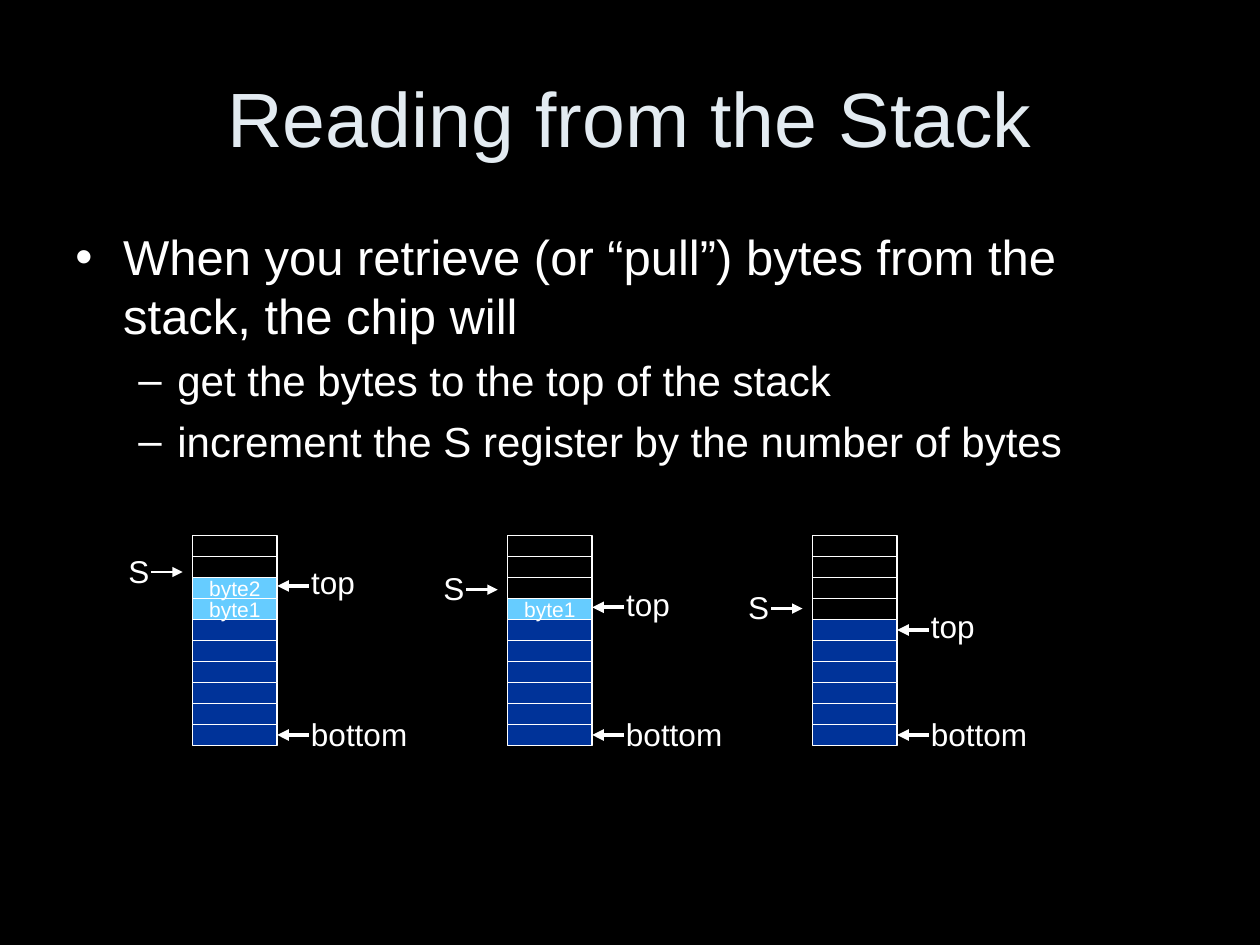
from lxml import etree
from pptx import Presentation
from pptx.dml.color import RGBColor
from pptx.enum.shapes import MSO_CONNECTOR as Conn, MSO_SHAPE as Shape
from pptx.enum.text import MSO_ANCHOR as Anchor, PP_ALIGN as Align
from pptx.oxml.ns import qn
from pptx.util import Inches, Pt

# Content
TITLE = "Reading from the Stack"
BODY = [  # text, level, size, space before
    ("When you retrieve (or “pull”) bytes from the stack, the chip will", 0, 28, 0),
    ("get the bytes to the top of the stack", 1, 24, 6),
    ("increment the S register by the number of bytes", 1, 24, 6),
]
BULLETS = [("•", 0.38, 0.38), ("–", 0.81, 0.31)]  # mark, indent, hang
STACKS = [  # left edge, free cells, pushed bytes, height of S and top arrows
    dict(x=1.53, free=2, data=["byte2", "byte1"], s=4.54, top=4.65),
    dict(x=4.03, free=3, data=["byte1"], s=4.68, top=4.82),
    dict(x=6.45, free=4, data=[], s=4.83, top=5),
]

# Sizes and colours
CELLS, CELL_W, CELL_H, STACK_Y = 10, 0.67, 1 / 6, 4.25
BASE_Y = STACK_Y + (CELLS - 0.5) * CELL_H
WHITE, BLACK, PALE, NAVY, SKY = "FFFFFF", "000000", "E3EBF1", "003399", "66CCFF"


def color(code):
    return RGBColor.from_string(code)


def style(par, size, tint=WHITE, align=Align.LEFT):
    par.alignment = align
    par.font.size = Pt(size)
    par.font.name = "Arial"
    par.font.color.rgb = color(tint)


def write(text, x, y, w, h, size=18, wrap=False, anchor=Anchor.TOP, **look):
    frame = slide.shapes.add_textbox(*map(Inches, (x, y, w, h))).text_frame
    frame.word_wrap = wrap
    frame.vertical_anchor = anchor
    par = frame.paragraphs[0]
    par.text = text
    style(par, size, **look)
    return frame


def bullet(par, mark, left, hang):
    props = par._p.get_or_add_pPr()
    props.set("marL", str(Inches(left)))
    props.set("indent", str(-Inches(hang)))
    etree.SubElement(props, qn("a:buFont")).set("typeface", "Arial")
    etree.SubElement(props, qn("a:buChar")).set("char", mark)


def cell(x, y, fill=None, text=""):
    box = slide.shapes.add_shape(Shape.RECTANGLE, *map(Inches, (x, y, CELL_W, CELL_H)))
    box.shadow.inherit = False
    box.line.color.rgb = color(WHITE)
    box.line.width = Pt(0.75)
    if fill:
        box.fill.solid()
        box.fill.fore_color.rgb = color(fill)
    else:
        box.fill.background()
    if text:
        frame = box.text_frame
        frame.word_wrap = False
        frame.vertical_anchor = Anchor.MIDDLE
        frame.text = text
        style(frame.paragraphs[0], 12, align=Align.CENTER)


def arrow(start, end, y, width):
    line = slide.shapes.add_connector(Conn.STRAIGHT, *map(Inches, (start, y, end, y)))
    line.line.color.rgb = color(WHITE)
    line.line.width = Pt(width)
    etree.SubElement(line.line._get_or_add_ln(), qn("a:tailEnd")).set("type", "triangle")
    etree.SubElement(line._element.spPr, qn("a:effectLst"))


deck = Presentation()
deck.slide_width, deck.slide_height = Inches(10), Inches(7.5)
slide = deck.slides.add_slide(deck.slide_layouts[6])
slide.background.fill.solid()
slide.background.fill.fore_color.rgb = color(BLACK)

# Title and bullets
write(TITLE, 0.5, 0.3, 9, 1.25, size=44, wrap=True, anchor=Anchor.MIDDLE,
      tint=PALE, align=Align.CENTER)
body = write("", 0.5, 1.75, 9, 2.42, wrap=True)
for i, (text, level, size, gap) in enumerate(BODY):
    par = body.add_paragraph() if i else body.paragraphs[0]
    par.text = text
    par.level = level
    par.space_before = Pt(gap)
    bullet(par, *BULLETS[level])
    style(par, size)

# Stacks with their pointers, cells laid from the bottom up
for stack in STACKS:
    x, data = stack["x"], stack["data"]
    used = CELLS - stack["free"] - len(data)
    rows = [(None, "")] * stack["free"] + [(SKY, name) for name in data] + [(NAVY, "")] * used
    for i, (fill, name) in reversed(list(enumerate(rows))):
        cell(x, STACK_Y + i * CELL_H, fill, name)
    write("S", x - 0.61, stack["s"] - 0.21, 0.36, 0.4)
    arrow(x - 0.33, x - 0.08, stack["s"], 1.5)
    for text, y, rise, w in [("top", stack["top"], 0.23, 0.55), ("bottom", BASE_Y, 0.21, 1)]:
        write(text, x + 0.84, y - rise, w, 0.4)
        arrow(x + CELL_W + 0.25, x + CELL_W, y, 2.25)

deck.save("out.pptx")
